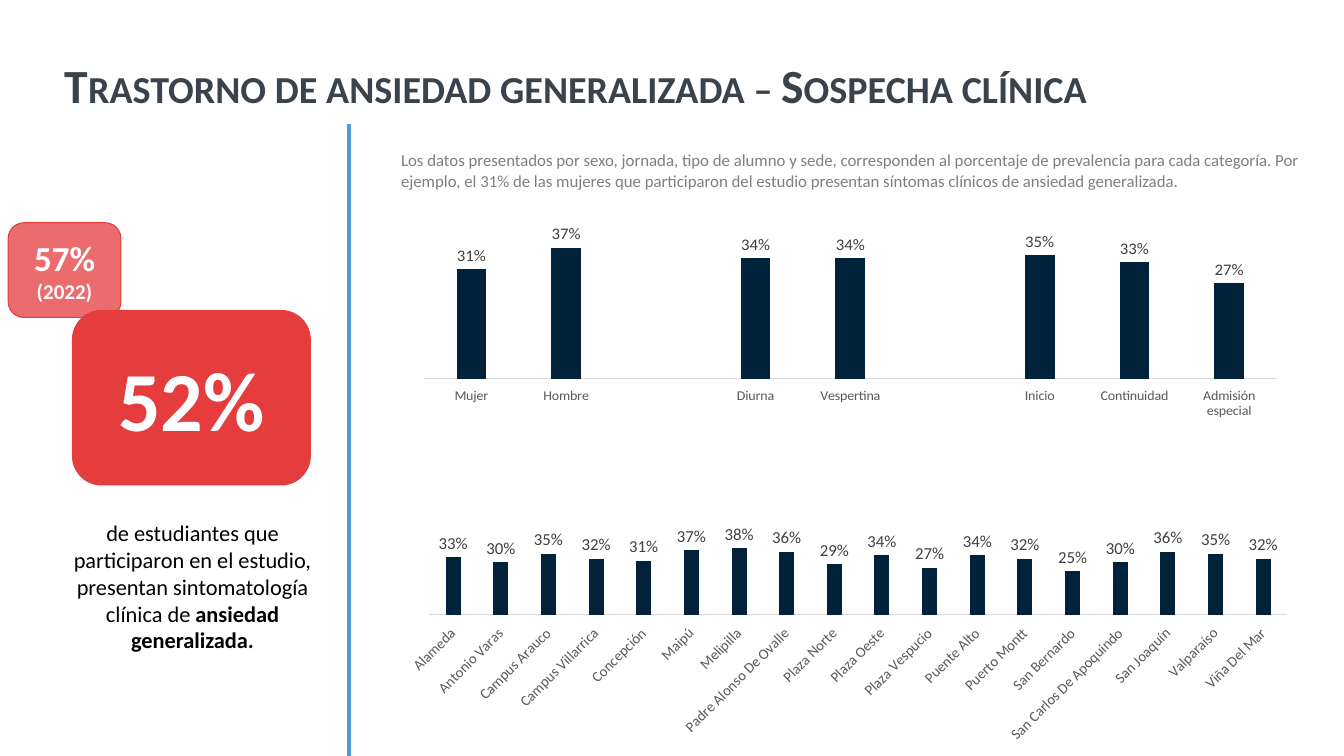
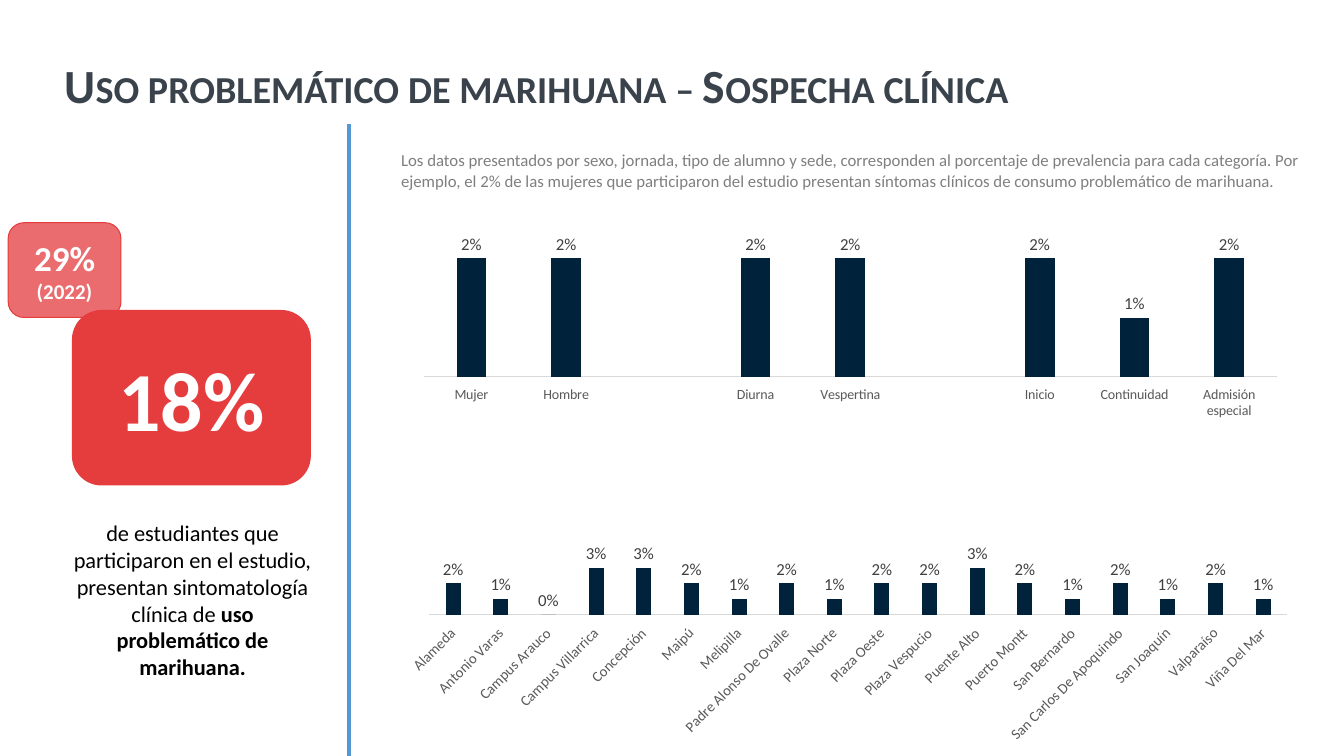
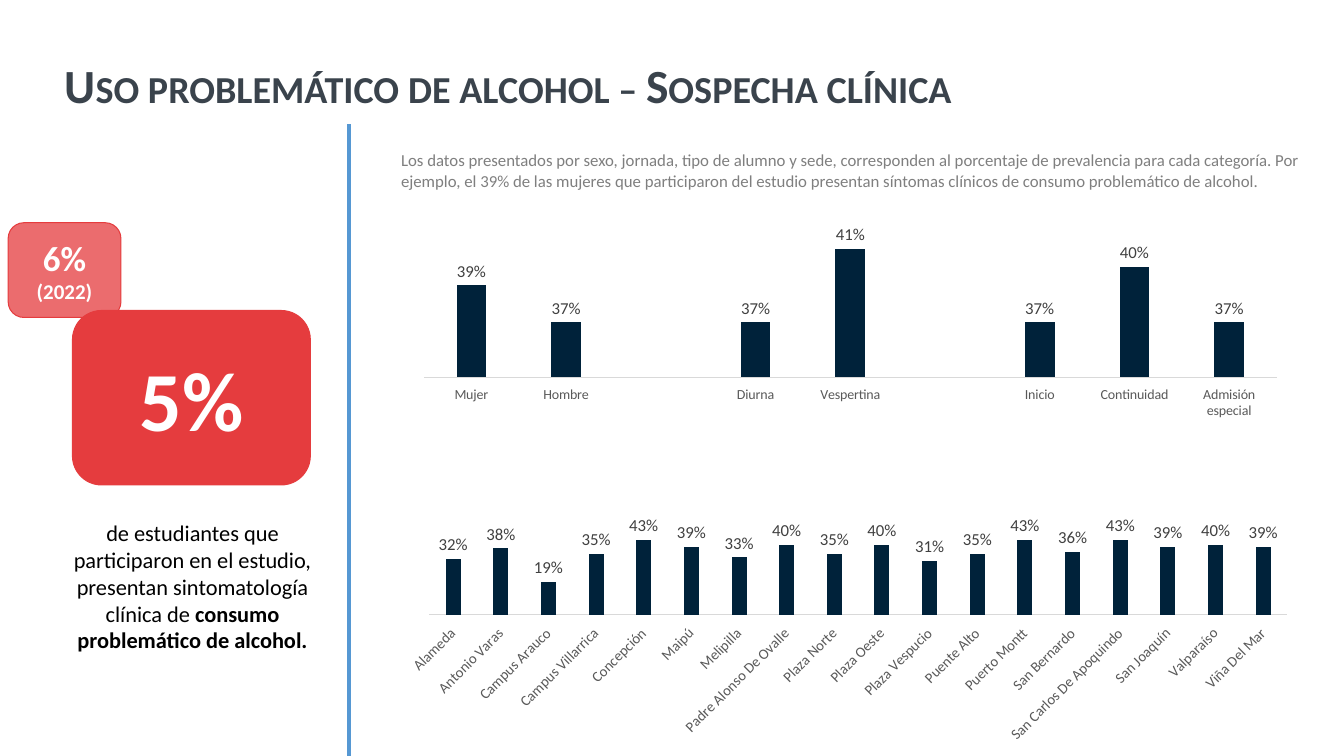
from lxml.etree import SubElement
from pptx import Presentation
from pptx.chart.data import CategoryChartData
from pptx.dml.color import RGBColor
from pptx.enum.chart import XL_CHART_TYPE, XL_LABEL_POSITION, XL_TICK_LABEL_POSITION, XL_TICK_MARK
from pptx.enum.shapes import MSO_CONNECTOR, MSO_SHAPE
from pptx.enum.text import MSO_ANCHOR, MSO_AUTO_SIZE, PP_ALIGN
from pptx.oxml.ns import qn
from pptx.util import Pt

# Shared style
FONT = "Calibri"
TITLE_COLOR, NOTE_COLOR, BODY_COLOR = "3A434C", "7F7F7F", "000000"
RED, NAVY, BLUE, WHITE = "E53C3E", "00223A", "5698D3", "FFFFFF"
AXIS_TEXT, AXIS_LINE, LABEL_TEXT = "595959", "D9D9D9", "404040"

# Regions: left, top, width, height in points
TITLE_BOX = (38.9, 28.8, 916.6, 67.7)
SUMMARY_BOX = (0, 88.6, 249.1, 451.4)
DETAIL_BOX = (279.4, 88.6, 666.7, 451.4)

GROUPS = ["Mujer", "Hombre", "", "Diurna", "Vespertina", "",
          "Inicio", "Continuidad", "Admisión especial"]
SITES = ["Alameda", "Antonio Varas", "Campus Arauco", "Campus Villarrica", "Concepción",
         "Maipú", "Melipilla", "Padre Alonso De Ovalle", "Plaza Norte", "Plaza Oeste",
         "Plaza Vespucio", "Puente Alto", "Puerto Montt", "San Bernardo",
         "San Carlos De Apoquindo", "San Joaquín", "Valparaíso", "Viña Del Mar"]

# Chart values are whole percentages; ranges are the ends of the value axis
STUDIES = [
    dict(title="Trastorno de ansiedad generalizada – Sospecha clínica",
         now="52%", before="57%", condition="ansiedad generalizada.",
         women="31%", symptom="ansiedad generalizada.",
         groups=[31, 37, None, 34, 34, None, 35, 33, 27], group_range=(0, 40),
         sites=[33, 30, 35, 32, 31, 37, 38, 36, 29, 34, 27, 34, 32, 25, 30, 36, 35, 32],
         site_range=(0, 90)),
    dict(title="Uso problemático de marihuana – Sospecha clínica",
         now="18%", before="29%", condition="uso problemático de marihuana.",
         women="2%", symptom="consumo problemático de marihuana.",
         groups=[2, 2, None, 2, 2, None, 2, 1, 2], group_range=(0, 2.5),
         sites=[2, 1, 0, 3, 3, 2, 1, 2, 1, 2, 2, 3, 2, 1, 2, 1, 2, 1],
         site_range=(0, 10)),
    dict(title="Uso problemático de alcohol – Sospecha clínica",
         now="5%", before="6%", condition="consumo problemático de alcohol.",
         women="39%", symptom="consumo problemático de alcohol.",
         groups=[39, 37, None, 37, 41, None, 37, 40, 37], group_range=(34, 42),
         sites=[32, 38, 19, 35, 43, 39, 33, 40, 35, 40, 31, 35, 43, 36, 43, 39, 40, 39],
         site_range=(0, 90)),
]


def color(value):
    return RGBColor.from_string(value)


def inside(box, left, top, width, height):
    """Turn a place relative to a box into slide lengths."""
    return Pt(box[0] + left), Pt(box[1] + top), Pt(width), Pt(height)


def set_font(font, size, hue, bold=False):
    font.name, font.size, font.bold = FONT, Pt(size), bold
    font.color.rgb = color(hue)


def add_title(page, box, text):
    title = page.shapes.title
    title.left, title.top, title.width, title.height = inside(box, 0, 0, *box[2:])
    frame = title.text_frame
    frame.text = text
    frame.auto_size = MSO_AUTO_SIZE.NONE
    frame.vertical_anchor = MSO_ANCHOR.MIDDLE
    para = frame.paragraphs[0]
    para.alignment, para.line_spacing = PP_ALIGN.LEFT, 0.9
    span = para.runs[0]
    set_font(span.font, 34, TITLE_COLOR, True)
    span.font._element.set("cap", "small")


def add_text(page, place, spans, size, hue, alignment):
    """Add one wrapped paragraph made of (text, bold) spans."""
    frame = page.shapes.add_textbox(*place).text_frame
    frame.word_wrap = True
    frame.auto_size = MSO_AUTO_SIZE.SHAPE_TO_FIT_TEXT
    para = frame.paragraphs[0]
    para.alignment = alignment
    for text, bold in spans:
        span = para.add_run()
        span.text = text
        set_font(span.font, size, hue, bold)


def add_badge(page, place, lines, opacity=100):
    """Add a red rounded box with centred (text, size) lines."""
    badge = page.shapes.add_shape(MSO_SHAPE.ROUNDED_RECTANGLE, *place)
    badge.shadow.inherit = False
    badge.fill.solid()
    badge.fill.fore_color.rgb = color(RED)
    badge.line.color.rgb = color(RED)
    badge.line.width = Pt(0.75)
    if opacity < 100:
        tint = badge.element.spPr.find(qn("a:solidFill")).find(qn("a:srgbClr"))
        SubElement(tint, qn("a:alpha")).set("val", str(opacity * 1000))
    frame = badge.text_frame
    frame.text = "\n".join(text for text, _ in lines)
    frame.vertical_anchor = MSO_ANCHOR.MIDDLE
    for para, (_, size) in zip(frame.paragraphs, lines):
        para.alignment = PP_ALIGN.CENTER
        set_font(para.runs[0].font, size, WHITE, True)


def add_columns(page, place, categories, values, value_range, axis_size, slanted=False):
    data = CategoryChartData(number_format="0%")
    data.categories = categories
    data.add_series("Series 1", [None if value is None else value / 100 for value in values])
    chart = page.shapes.add_chart(XL_CHART_TYPE.COLUMN_CLUSTERED, *place, data).chart
    chart.has_legend = chart.has_title = False
    set_font(chart.font, 10, BODY_COLOR)

    # Axes
    scale = chart.value_axis
    scale.visible = scale.has_major_gridlines = False
    scale.minimum_scale, scale.maximum_scale = (end / 100 for end in value_range)
    axis = chart.category_axis
    axis.major_tick_mark = axis.minor_tick_mark = XL_TICK_MARK.NONE
    axis.tick_label_position = XL_TICK_LABEL_POSITION.LOW
    axis.format.line.color.rgb = color(AXIS_LINE)
    axis.format.line.width = Pt(0.75)
    set_font(axis.tick_labels.font, axis_size, AXIS_TEXT)
    if slanted:
        axis._element.find(qn("c:txPr")).find(qn("a:bodyPr")).set("rot", "-2700000")

    # Columns and labels
    plot = chart.plots[0]
    plot.gap_width, plot.overlap, plot.vary_by_categories = 219, -27, False
    fill = plot.series[0].format.fill
    fill.solid()
    fill.fore_color.rgb = color(NAVY)
    plot.has_data_labels = True
    labels = plot.data_labels
    labels.show_value = True
    labels.position = XL_LABEL_POSITION.OUTSIDE_END
    labels.number_format, labels.number_format_is_linked = "0%", False
    set_font(labels.font, 12, LABEL_TEXT)


def add_summary(page, box, study):
    """Left side: divider, headline figure, explanation and earlier figure."""
    left, top, width, height = box
    divider = page.shapes.add_connector(MSO_CONNECTOR.STRAIGHT, Pt(left + width), Pt(top),
                                        Pt(left + width), Pt(top + height))
    divider.line.color.rgb = color(BLUE)
    divider.line.width = Pt(3)
    SubElement(divider._element.spPr, qn("a:effectLst"))
    add_badge(page, inside(box, 51.8, 133.2, 169.9, 124.6), [(study["now"], 60)])
    lead = ("de estudiantes que participaron en el estudio, "
            "presentan sintomatología clínica de ")
    add_text(page, inside(box, 45.4, 278.6, 184.3, 104.4),
             [(lead, False), (study["condition"], True)], 16, BODY_COLOR, PP_ALIGN.CENTER)
    add_badge(page, inside(box, 5.8, 70.5, 80.6, 67.7),
              [(study["before"], 25), ("(2022)", 15)], opacity=75)


def add_detail(page, box, study):
    """Right side: reading note, chart by group and chart by site."""
    note = ("Los datos presentados por sexo, jornada, tipo de alumno y sede, corresponden al "
            "porcentaje de prevalencia para cada categoría. Por ejemplo, el "
            f"{study['women']} de las mujeres que participaron del estudio presentan "
            f"síntomas clínicos de {study['symptom']}")
    add_columns(page, inside(box, 0, 234, 653, 213.1), SITES, study["sites"],
                study["site_range"], 10.5, slanted=True)
    add_text(page, inside(box, 0, 15.1, box[2], 36), [(note, False)],
             12, NOTE_COLOR, PP_ALIGN.LEFT)
    add_columns(page, inside(box, 10.8, 72, 634.3, 141.1), GROUPS, study["groups"],
                study["group_range"], 10)


def main():
    deck = Presentation()
    deck.slide_width, deck.slide_height = Pt(960), Pt(540)
    for study in STUDIES:
        page = deck.slides.add_slide(deck.slide_layouts[5])
        add_title(page, TITLE_BOX, study["title"])
        add_detail(page, DETAIL_BOX, study)
        add_summary(page, SUMMARY_BOX, study)
    deck.save("out.pptx")


if __name__ == "__main__":
    main()
